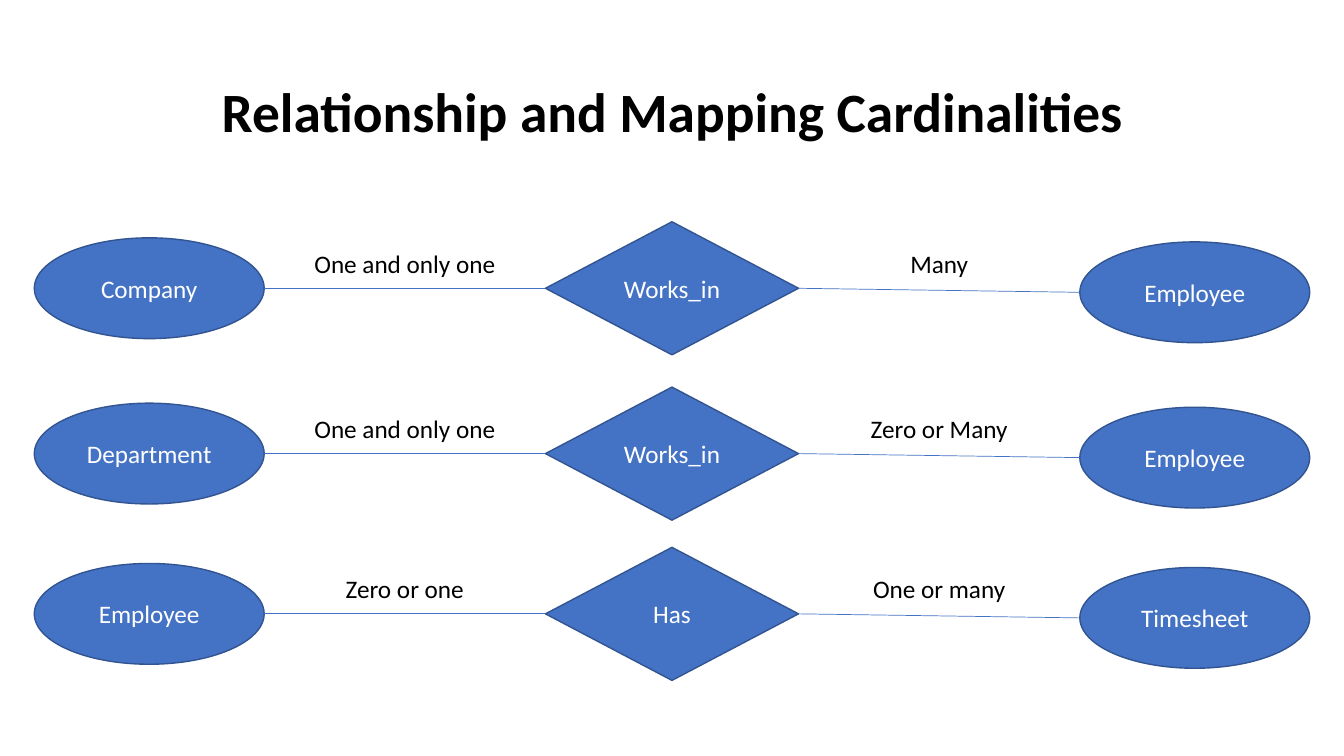
from dataclasses import dataclass

from lxml.etree import SubElement
from pptx import Presentation
from pptx.dml.color import RGBColor
from pptx.enum.shapes import MSO_CONNECTOR, MSO_SHAPE
from pptx.enum.text import MSO_ANCHOR, PP_ALIGN
from pptx.oxml.ns import qn
from pptx.util import Inches, Pt


@dataclass(frozen=True)
class Theme:
    font: str = "Calibri"
    fill: str = "4472C4"
    outline: str = "325491"
    dark: str = "000000"
    light: str = "FFFFFF"
    title_size: float = 39.6
    body_size: float = 18
    outline_width: float = 1
    link_width: float = 0.5


THEME = Theme()

# Row tops, then: left entity, left label, relationship, right label, right entity
ROWS = [
    (2.2, "Company", "One and only one", "Works_in", "Many", "Employee"),
    (3.84, "Department", "One and only one", "Works_in", "Zero or Many", "Employee"),
    (5.43, "Employee", "Zero or one", "Has", "One or many", "Timesheet"),
]
ROW_LEFT, ROW_WIDTH, ROW_HEIGHT = 0.34, 12.65, 1.32
ENTITY_W, ENTITY_H = 2.28, 1
RELATION_W = 2.51
LABEL_W, LABEL_H = 2.11, 0.4
LABEL_RISE = 0.45   # label top above the row's centre line
RIGHT_DROP = 0.04   # right entity sits slightly below the centre line


def write(s, text, size=THEME.body_size, color=THEME.dark, bold=False,
          anchor=MSO_ANCHOR.TOP, spacing=1.0):
    tf = s.text_frame
    tf.word_wrap = True
    tf.vertical_anchor = anchor
    p = tf.paragraphs[0]
    p.alignment = PP_ALIGN.CENTER
    p.line_spacing = spacing
    r = p.add_run()
    r.text = text
    r.font.name = THEME.font
    r.font.size = Pt(size)
    r.font.bold = bold
    r.font.color.rgb = RGBColor.from_string(color)


def add_text(slide, x, y, w, h, text, **fmt):
    write(slide.shapes.add_textbox(Inches(x), Inches(y), Inches(w), Inches(h)),
          text, **fmt)


def add_node(slide, kind, x, y, w, h, text):
    s = slide.shapes.add_shape(kind, Inches(x), Inches(y), Inches(w), Inches(h))
    s.shadow.inherit = False
    s.fill.solid()
    s.fill.fore_color.rgb = RGBColor.from_string(THEME.fill)
    s.line.color.rgb = RGBColor.from_string(THEME.outline)
    s.line.width = Pt(THEME.outline_width)
    write(s, text, color=THEME.light, anchor=MSO_ANCHOR.MIDDLE)


def add_link(slide, x1, y1, x2, y2):
    c = slide.shapes.add_connector(MSO_CONNECTOR.STRAIGHT, Inches(x1), Inches(y1),
                                   Inches(x2), Inches(y2))
    c.line.color.rgb = RGBColor.from_string(THEME.fill)
    c.line.width = Pt(THEME.link_width)
    SubElement(c._element.spPr, qn("a:effectLst"))


def add_title(slide, x, y, w, h):
    add_text(slide, x, y, w, h, "Relationship and Mapping Cardinalities",
             size=THEME.title_size, bold=True, anchor=MSO_ANCHOR.MIDDLE, spacing=0.9)


def add_relationship(slide, x, y, w, h, names):
    left, left_label, relation, right_label, right = names
    mid = y + h / 2
    left_end = x + ENTITY_W
    right_start = x + w - ENTITY_W
    relation_x = x + (w - RELATION_W) / 2
    relation_end = relation_x + RELATION_W

    # Entities and the relationship between them
    for ex, cy, name in ((x, mid, left), (right_start, mid + RIGHT_DROP, right)):
        add_node(slide, MSO_SHAPE.OVAL, ex, cy - ENTITY_H / 2, ENTITY_W, ENTITY_H, name)
    add_node(slide, MSO_SHAPE.FLOWCHART_DECISION, relation_x, y, RELATION_W, h, relation)

    # Links, each with its cardinality centred above
    for x1, x2, y2, label in ((left_end, relation_x, mid, left_label),
                              (relation_end, right_start, mid + RIGHT_DROP, right_label)):
        add_link(slide, x1, mid, x2, y2)
        add_text(slide, (x1 + x2 - LABEL_W) / 2, mid - LABEL_RISE,
                 LABEL_W, LABEL_H, label)


def main():
    prs = Presentation()
    prs.slide_width, prs.slide_height = Inches(13.33), Inches(7.5)
    slide = prs.slides.add_slide(prs.slide_layouts[6])
    add_title(slide, 1.8, 0.71, 9.74, 0.86)
    for top, *names in ROWS:
        add_relationship(slide, ROW_LEFT, top, ROW_WIDTH, ROW_HEIGHT, names)
    prs.save("out.pptx")


if __name__ == "__main__":
    main()
